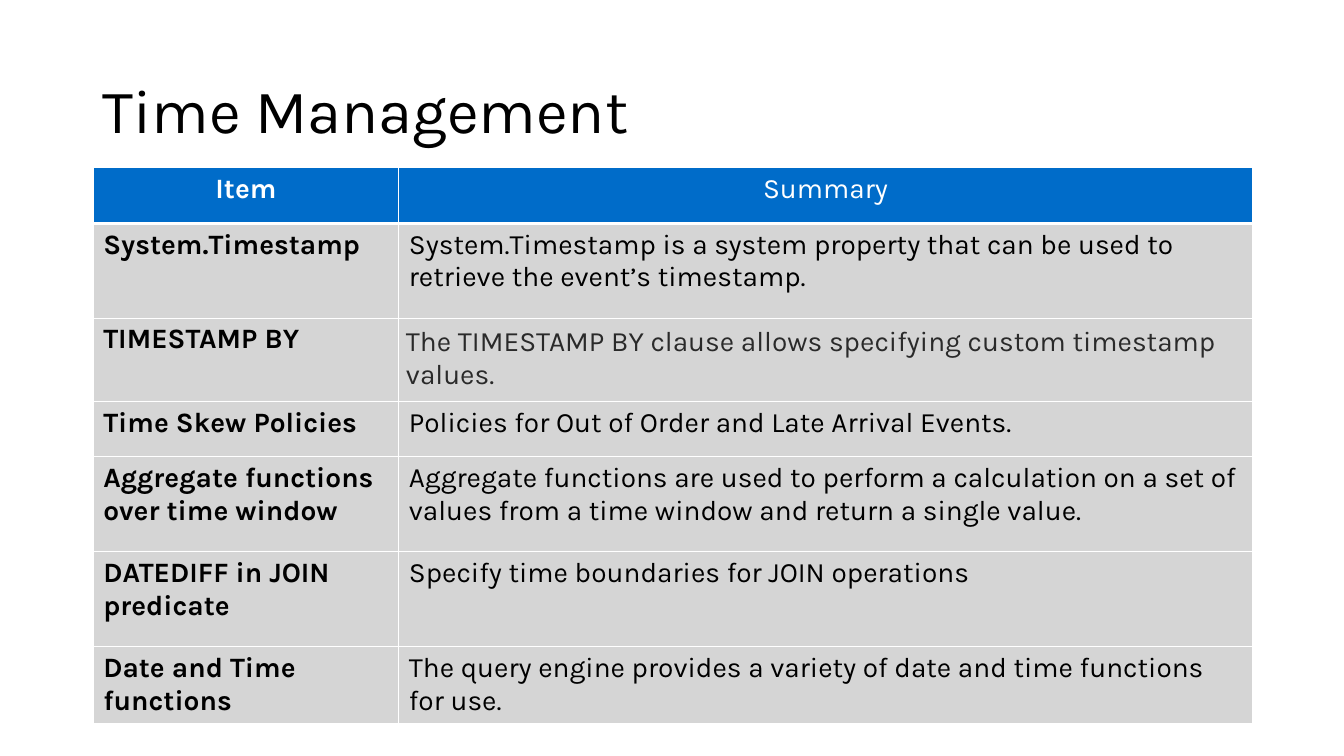
from dataclasses import dataclass

from pptx import Presentation
from pptx.dml.color import RGBColor as Rgb
from pptx.enum.text import MSO_ANCHOR as Anchor, PP_ALIGN as Align
from pptx.oxml import parse_xml
from pptx.oxml.ns import nsdecls
from pptx.util import Cm, Pt


@dataclass(frozen=True)
class Theme:
    font: str = "Karla"
    title_size: int = 44
    table_size: int = 20
    ink: str = "000000"
    soft_ink: str = "2A2A2A"
    white: str = "FFFFFF"
    header_fill: str = "006CC9"
    body_fill: str = "D5D5D5"
    rule: float = 1
    header_rule: float = 3


TOPICS = [
    ("System.Timestamp",
     "System.Timestamp is a system property that can be used to retrieve the event’s timestamp."),
    ("TIMESTAMP BY",
     "The TIMESTAMP BY clause allows specifying custom timestamp values."),
    ("Time Skew Policies",
     "Policies for Out of Order and Late Arrival Events."),
    ("Aggregate functions over time window",
     "Aggregate functions are used to perform a calculation on a set of values "
     "from a time window and return a single value."),
    ("DATEDIFF in JOIN predicate",
     "Specify time boundaries for JOIN operations"),
    ("Date and Time functions",
     "The query engine provides a variety of date and time functions for use."),
]
COLUMN_WIDTHS = (7.7, 21.51)
ROW_HEIGHTS = (1.4, 2.39, 1.6, 1.4, 2.39, 2.39, 1.37)
CLAUSE_ROW = 2


class SlideBuilder:
    def __init__(self, slide, theme):
        self.slide = slide
        self.theme = theme

    def style(self, paragraph, size, color, bold=False):
        font = paragraph.font
        font.name = self.theme.font
        font.size = Pt(size)
        font.bold = bold
        font.color.rgb = Rgb.from_string(color)

    def title(self, wording, left, top, width, height):
        frame = self.slide.shapes.add_textbox(
            Cm(left), Cm(top), Cm(width), Cm(height)).text_frame
        frame.word_wrap = True
        frame.vertical_anchor = Anchor.MIDDLE
        heading = frame.paragraphs[0]
        heading.text = wording
        heading.line_spacing = 0.9
        self.style(heading, self.theme.title_size, self.theme.ink)

    def borders(self, cell, top, bottom):
        sides = {"L": self.theme.rule, "R": self.theme.rule, "T": top, "B": bottom}
        properties = cell._tc.get_or_add_tcPr()
        for position, (side, width) in enumerate(sides.items()):
            properties.insert(position, parse_xml(
                f'<a:ln{side} {nsdecls("a")} w="{Pt(width)}"><a:solidFill>'
                f'<a:srgbClr val="{self.theme.white}"/></a:solidFill></a:ln{side}>'))

    def cell(self, cell, wording, row, column):
        theme = self.theme
        header = row == 0
        clause = (row, column) == (CLAUSE_ROW, 1)
        cell.text = wording
        cell.fill.solid()
        cell.fill.fore_color.rgb = Rgb.from_string(
            theme.header_fill if header else theme.body_fill)
        self.borders(cell,
                     theme.header_rule if row == 1 else theme.rule,
                     theme.header_rule if header else theme.rule)
        if clause:
            cell.margin_left = cell.margin_right = Cm(0.18)
            cell.margin_top = cell.margin_bottom = Cm(0.2)
        paragraph = cell.text_frame.paragraphs[0]
        paragraph.alignment = Align.CENTER if header else Align.LEFT
        color = theme.white if header else theme.soft_ink if clause else theme.ink
        self.style(paragraph, theme.table_size, color, bold=column == 0)

    def table(self, records, left, top):
        table = self.slide.shapes.add_table(
            len(records), len(COLUMN_WIDTHS), Cm(left), Cm(top),
            Cm(sum(COLUMN_WIDTHS)), Cm(sum(ROW_HEIGHTS))).table
        for column, width in zip(table.columns, COLUMN_WIDTHS):
            column.width = Cm(width)
        for row, height in zip(table.rows, ROW_HEIGHTS):
            row.height = Cm(height)
        for row, record in enumerate(records):
            for column, wording in enumerate(record):
                self.cell(table.cell(row, column), wording, row, column)


def main():
    deck = Presentation()
    deck.slide_width, deck.slide_height = Cm(33.87), Cm(19.05)
    builder = SlideBuilder(deck.slides.add_slide(deck.slide_layouts[6]), Theme())
    builder.title("Time Management", 2.33, 1.01, 29.21, 3.68)
    builder.table([("Item", "Summary"), *TOPICS], 2.35, 4.23)
    deck.save("out.pptx")


if __name__ == "__main__":
    main()
